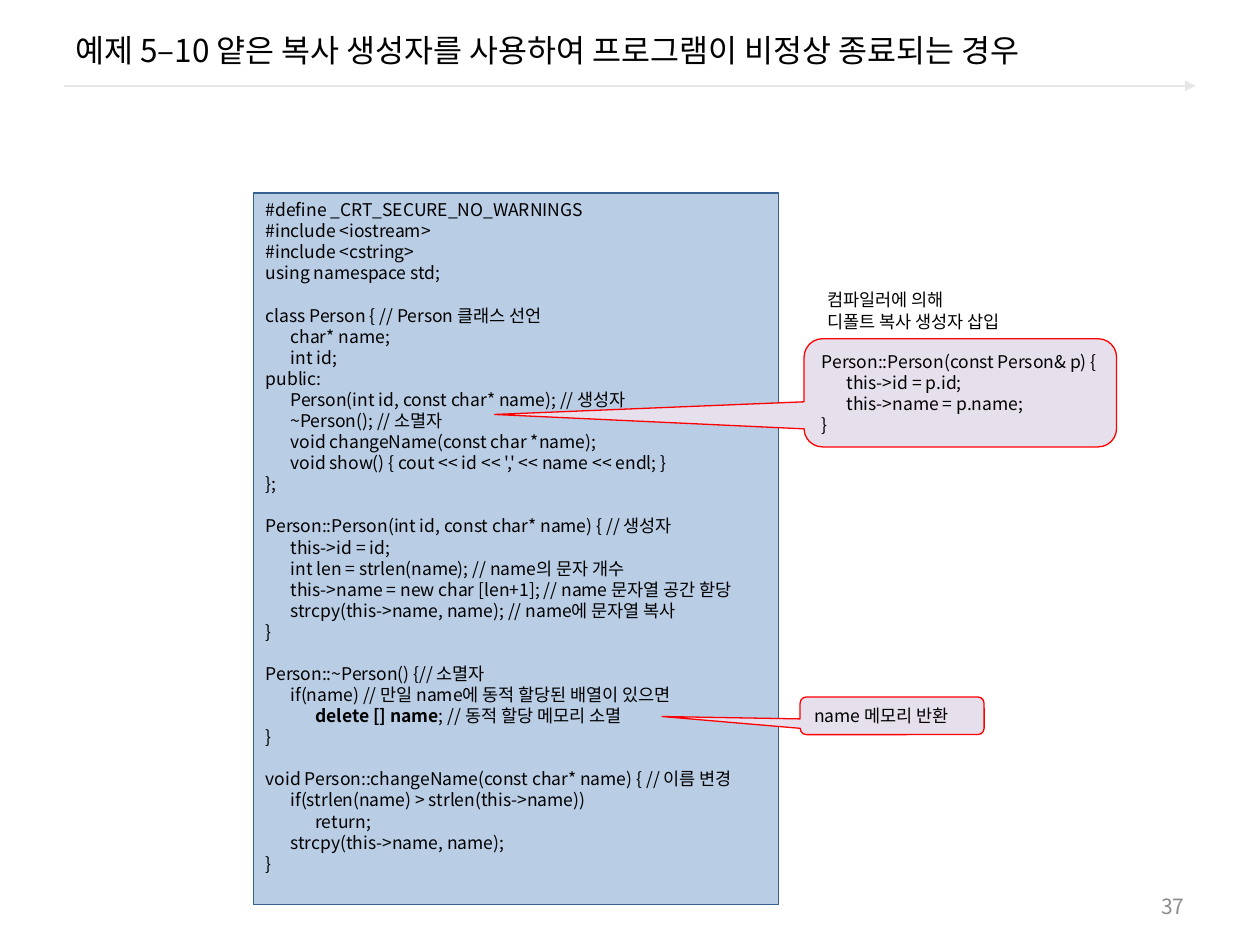
from lxml.etree import SubElement
from pptx import Presentation
from pptx.dml.color import RGBColor
from pptx.enum.shapes import MSO_CONNECTOR as Connector, MSO_SHAPE as Shape
from pptx.enum.text import MSO_ANCHOR as Anchor, PP_ALIGN as Align
from pptx.oxml.ns import qn
from pptx.util import Cm, Pt

FONT = "Noto Sans CJK KR"
BLACK = RGBColor(0x00, 0x00, 0x00)
GREY = RGBColor(0x8C, 0x8C, 0x8C)
RULE_GREY = RGBColor(0xE6, 0xE6, 0xE6)
CODE_FILL = RGBColor(0xB9, 0xCD, 0xE5)
CODE_LINE = RGBColor(0x37, 0x60, 0x92)
REMARK_FILL = RGBColor(0xE6, 0xE0, 0xEC)
RED = RGBColor(0xFF, 0x00, 0x00)
LINE_PITCH = Pt(12.05)
TAB_STEP = 0.5
EMPHASIS = "delete [] name"

CODE_BLOCKS = [
    """#define _CRT_SECURE_NO_WARNINGS
#include <iostream>
#include <cstring>
using namespace std;""",
    """class Person { // Person 클래스 선언
\tchar* name;
\tint id;
public:
\tPerson(int id, const char* name); // 생성자
\t~Person(); // 소멸자
\tvoid changeName(const char *name);
\tvoid show() { cout << id << ',' << name << endl; }
};""",
    """Person::Person(int id, const char* name) { // 생성자
\tthis->id = id;
\tint len = strlen(name); // name의 문자 개수
\tthis->name = new char [len+1]; // name 문자열 공간 핟당
\tstrcpy(this->name, name); // name에 문자열 복사
}""",
    """Person::~Person() {// 소멸자
\tif(name) // 만일 name에 동적 할당된 배열이 있으면
\t\tdelete [] name; // 동적 할당 메모리 소멸
}""",
    """void Person::changeName(const char* name) { // 이름 변경
\tif(strlen(name) > strlen(this->name))
\t\treturn;
\tstrcpy(this->name, name);
}""",
]
COPY_CONSTRUCTOR = """Person::Person(const Person& p) {
\tthis->id = p.id;
\tthis->name = p.name;
}"""


def add_span(para, text, size, color=BLACK, bold=False):
    span = para.add_run()
    span.text = text
    span.font.size = Pt(size)
    span.font.name = FONT
    span.font.bold = bold
    span.font.color.rgb = color
    SubElement(span.font._element, qn("a:ea"), typeface=FONT)


def write_blocks(box, blocks, anchor):
    frame = box.text_frame
    frame.word_wrap = True
    frame.vertical_anchor = anchor
    para = None
    for block in blocks:
        for number, line in enumerate(block.split("\n")):
            starts_block = para is not None and number == 0
            para = frame.paragraphs[0] if para is None else frame.add_paragraph()
            tabs = SubElement(para._p.get_or_add_pPr(), qn("a:tabLst"))
            for level in (1, 2):
                SubElement(tabs, qn("a:tab"), pos=str(Cm(TAB_STEP * level)), algn="l")
            para.alignment = Align.LEFT
            para.line_spacing = LINE_PITCH
            if starts_block:
                para.space_before = LINE_PITCH
            for part in line.partition(EMPHASIS):
                if part:
                    add_span(para, part, 10, bold=part == EMPHASIS)


def add_panel(page, kind, left, top, width, height, fill, line):
    panel = page.shapes.add_shape(kind, Cm(left), Cm(top), Cm(width), Cm(height))
    panel.shadow.inherit = False
    panel.fill.solid()
    panel.fill.fore_color.rgb = fill
    panel.line.color.rgb = line
    panel.line.width = Pt(0.75)
    return panel


def draw_label(page, left, top, width, height, text, size, color, align):
    box = page.shapes.add_textbox(Cm(left), Cm(top), Cm(width), Cm(height))
    box.text_frame.word_wrap = True
    box.text_frame.vertical_anchor = Anchor.MIDDLE
    para = box.text_frame.paragraphs[0]
    para.alignment = align
    add_span(para, text, size, color)


def draw_header(page, left, top, width, title):
    rule_top = top + 1.53
    rule = page.shapes.add_connector(
        Connector.STRAIGHT, Cm(left + 0.03), Cm(rule_top), Cm(left + width - 0.03), Cm(rule_top))
    rule.line.color.rgb = RULE_GREY
    rule.line.width = Pt(1.5)
    SubElement(rule.line._get_or_add_ln(), qn("a:tailEnd"), type="triangle")
    SubElement(rule._element.spPr, qn("a:effectLst"))
    draw_label(page, left, top, width, 1.63, title, 18, BLACK, Align.LEFT)


def draw_listing(page, left, top, width, height):
    panel = add_panel(page, Shape.RECTANGLE, left, top, width, height, CODE_FILL, CODE_LINE)
    write_blocks(panel, CODE_BLOCKS, Anchor.TOP)


def draw_remark(page, left, top, width, height, text, pointer, caption=None):
    callout = add_panel(
        page, Shape.ROUNDED_RECTANGULAR_CALLOUT, left, top, width, height, REMARK_FILL, RED)
    callout.adjustments[0], callout.adjustments[1] = pointer
    callout.adjustments[2] = 0.17
    write_blocks(callout, [text], Anchor.MIDDLE)
    if caption:
        box = page.shapes.add_textbox(Cm(left + 0.22), Cm(top - 1.12), Cm(4.9), Cm(1.12))
        write_blocks(box, [caption], Anchor.TOP)


def main():
    deck = Presentation()
    deck.slide_width, deck.slide_height = Cm(25.4), Cm(19.05)
    page = deck.slides.add_slide(deck.slide_layouts[6])
    draw_header(page, 1.27, 0.2, 22.86,
                "예제 5–10 얕은 복사 생성자를 사용하여 프로그램이 비정상 종료되는 경우")
    draw_label(page, 18.21, 17.86, 5.92, 0.81, "37", 12, GREY, Align.RIGHT)
    draw_listing(page, 5.11, 3.89, 10.59, 14.35)
    draw_remark(page, 16.21, 6.83, 6.3, 2.18, COPY_CONSTRUCTOR, (-1.49, 0.2),
                "컴파일러에 의해\n디폴트 복사 생성자 삽입")
    draw_remark(page, 16.13, 14.05, 3.71, 0.76, "name 메모리 반환", (-1.25, 0.02))
    deck.save("out.pptx")


if __name__ == "__main__":
    main()
